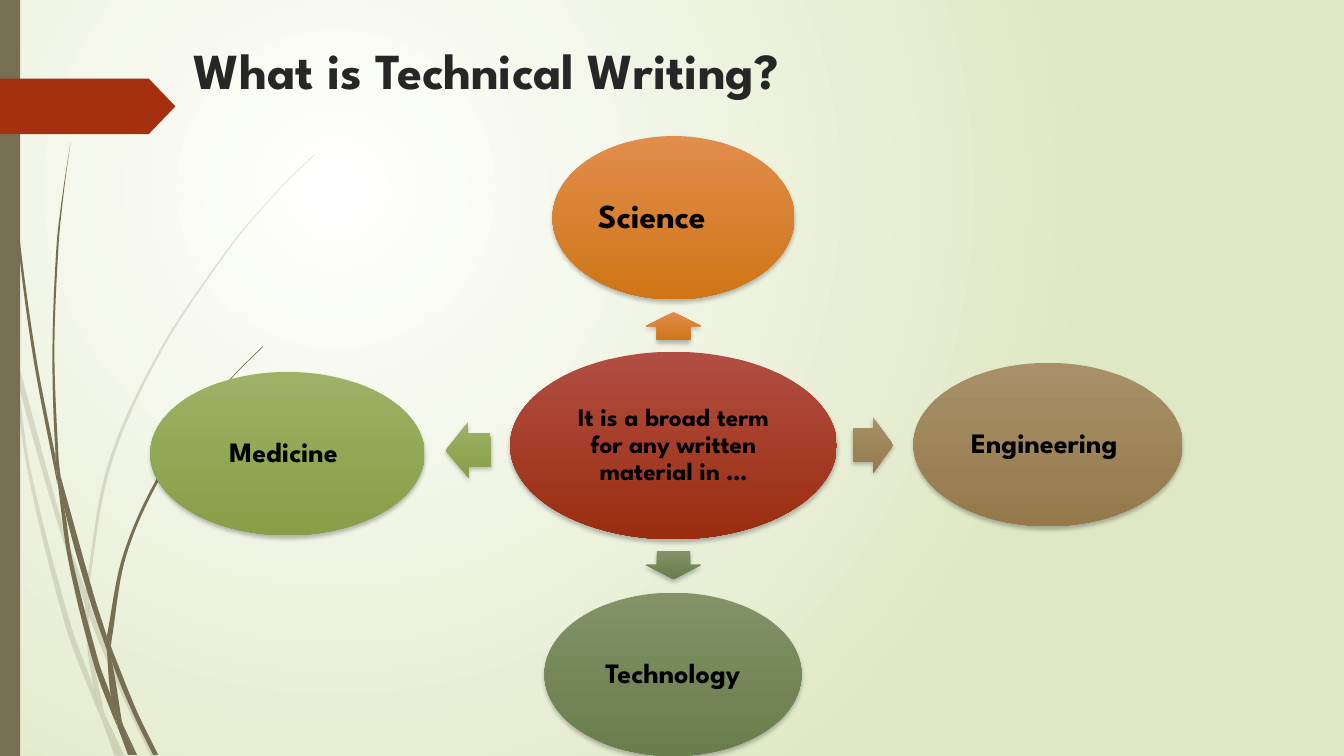
from math import dist
from lxml import etree
from pptx import Presentation
from pptx.dml.color import RGBColor
from pptx.enum.shapes import MSO_SHAPE
from pptx.enum.text import MSO_ANCHOR, MSO_AUTO_SIZE, PP_ALIGN
from pptx.oxml.ns import qn
from pptx.util import Cm, Pt

OVAL, ARROW = MSO_SHAPE.OVAL, MSO_SHAPE.RIGHT_ARROW
RECT, FLAG = MSO_SHAPE.RECTANGLE, MSO_SHAPE.PENTAGON
TOP, MIDDLE = MSO_ANCHOR.TOP, MSO_ANCHOR.MIDDLE
LEFT, CENTER = PP_ALIGN.LEFT, PP_ALIGN.CENTER
NO_FIT = MSO_AUTO_SIZE.NONE

FONT = "League Spartan"
WHITE = RGBColor(0xFF, 0xFF, 0xFF)
BLACK = RGBColor(0x00, 0x00, 0x00)
INK = RGBColor(0x26, 0x26, 0x26)
PALE = RGBColor(0xDF, 0xE8, 0xC4)
STEM = RGBColor(0x76, 0x6F, 0x54)
RUST = RGBColor(0xA5, 0x30, 0x10)
RED = (RGBColor(0xB1, 0x4E, 0x43), RGBColor(0x9A, 0x2D, 0x0F))
ORANGE = (RGBColor(0xE1, 0x8D, 0x4C), RGBColor(0xCF, 0x75, 0x16))
BROWN = (RGBColor(0xA8, 0x90, 0x68), RGBColor(0x94, 0x7A, 0x4B))
GREEN = (RGBColor(0x81, 0x93, 0x67), RGBColor(0x6A, 0x7D, 0x4D))
LIME = (RGBColor(0x9D, 0xB2, 0x65), RGBColor(0x88, 0x9E, 0x47))

# Grass pieces: both edges, in inches; the second edge runs back up
PALE_GRASS = [
    ([(0, 2.82), (0.09, 3.22), (0.11, 3.5)], [(0.1, 3.44), (0, 2.99)]),
    ([(0.14, 3.45), (0.17, 3.76), (0.58, 5.22), (0.84, 5.99)],
     [(0.85, 5.86), (0.62, 5.2), (0.14, 3.45)]),
    ([(0.88, 5.96), (0.88, 6.1), (1.23, 6.94), (1.5, 7.51)],
     [(1.55, 7.51), (1.27, 6.92), (0.92, 6.07), (0.88, 5.96)]),
    ([(1.05, 7.11), (1.19, 7.51)], [(1.24, 7.51), (1.05, 7.11)]),
    ([(0.11, 3.5), (0.28, 4.7), (0.65, 6.21), (0.92, 6.93), (1.01, 7.14)],
     [(0.99, 7.07), (0.93, 6.83), (0.7, 6.19), (0.31, 4.69), (0.17, 3.76), (0.11, 3.5)]),
    ([(0.84, 5.99), (0.87, 6.46), (0.93, 6.83), (0.96, 6.92), (1.05, 7.11)],
     [(1.03, 7.06), (0.91, 6.46), (0.88, 6.1), (0.88, 6.08), (0.84, 5.99)]),
    ([(3.12, 1.53), (2.89, 1.75), (2.68, 1.97), (2.28, 2.44), (1.58, 3.48),
      (1.07, 4.61), (0.85, 5.84), (0.85, 5.86)],
     [(0.88, 5.96), (0.88, 5.84), (1.1, 4.62), (1.6, 3.49), (2.29, 2.45),
      (2.68, 1.98), (2.9, 1.75), (3.12, 1.54)]),
    ([(1.01, 7.14), (1.14, 7.51)], [(1.19, 7.51), (1.01, 7.14)]),
    ([(0.85, 5.86), (0.84, 5.99)], [(0.88, 6.08), (0.88, 5.96)]),
    ([(0.93, 6.83), (0.99, 7.07), (1.01, 7.14), (1.19, 7.51)],
     [(1.05, 7.11), (0.96, 6.92), (0.93, 6.83)]),
]
DARK_GRASS = [
    ([(0.03, 0), (0.04, 0.48), (0.07, 1.1), (0.17, 2.33), (0.33, 3.55), (0.57, 4.81)],
     [(0.55, 4.53), (0.36, 3.55), (0.19, 2.32), (0.08, 1.09), (0.05, 0.48), (0.04, 0)]),
    ([(0.6, 4.72), (0.64, 5.05), (0.88, 5.92), (1.06, 6.45)],
     [(1.06, 6.31), (0.93, 5.9), (0.6, 4.72)]),
    ([(1.1, 6.41), (1.11, 6.56), (1.32, 7.08), (1.52, 7.49)],
     [(1.57, 7.49), (1.36, 7.06), (1.13, 6.49), (1.1, 6.41)]),
    ([(0.57, 4.77), (0.68, 5.57), (0.93, 6.59), (1.11, 7.08), (1.17, 7.22)],
     [(1.16, 7.17), (1.1, 6.91), (0.98, 6.57), (0.72, 5.56), (0.64, 5.05), (0.57, 4.77)]),
    ([(0.7, 1.41), (0.62, 1.93), (0.56, 2.45), (0.52, 3.49), (0.55, 4.49), (0.6, 4.72)],
     [(0.6, 4.72), (0.58, 4.53), (0.54, 3.49), (0.58, 2.45), (0.63, 1.93), (0.7, 1.41)]),
    ([(1.22, 7.19), (1.33, 7.49)], [(1.36, 7.49), (1.22, 7.19)]),
    ([(0.55, 4.49), (0.55, 4.53), (0.57, 4.77), (0.64, 5.05)],
     [(0.6, 4.72), (0.55, 4.49)]),
    ([(2.6, 3.44), (2.31, 3.73), (2.04, 4.05), (1.56, 4.74), (1.22, 5.51), (1.06, 6.31)],
     [(1.1, 6.41), (1.11, 6.33), (1.25, 5.52), (1.58, 4.76), (2.05, 4.06),
      (2.31, 3.74), (2.61, 3.44)]),
    ([(1.17, 7.22), (1.27, 7.49)], [(1.31, 7.49), (1.17, 7.22)]),
    ([(1.06, 6.45), (1.1, 6.91), (1.16, 7.06), (1.22, 7.19)],
     [(1.21, 7.16), (1.11, 6.56), (1.06, 6.45)]),
    ([(1.06, 6.31), (1.06, 6.45), (1.11, 6.56)], [(1.1, 6.41), (1.06, 6.31)]),
    ([(1.1, 6.91), (1.16, 7.17), (1.17, 7.22), (1.3, 7.49)],
     [(1.33, 7.49), (1.22, 7.19), (1.16, 7.06), (1.1, 6.91)]),
]

# Arms: text, size, ellipse box, arrow box, arrow turn, colours
ARMS = [
    ("Science\t", 24, (5.48, 1.35, 2.4, 1.62), (6.54, 2.96, 0.28, 0.55), 270, ORANGE),
    ("Engineering ", 20, (9.06, 3.6, 2.67, 1.62), (8.46, 4.14, 0.4, 0.55), 359.8, BROWN),
    ("Technology", 20, (5.4, 5.88, 2.55, 1.62), (6.54, 5.33, 0.28, 0.55), 90, GREEN),
    ("Medicine ", 20, (1.49, 3.69, 2.72, 1.62), (4.42, 4.19, 0.45, 0.55), 178.9, LIME),
]


def size(inch):
    return Cm(inch * 2.54)


def bend(edge):
    """Two handles and an end for each curve along the edge."""
    ends = [edge[0], *edge, edge[-1]]
    for a, b, c, d in zip(ends, ends[1:], ends[2:], ends[3:]):
        near, far = dist(b, c) / 3 / dist(a, c), dist(b, c) / 3 / dist(b, d)
        yield ([q + (r - p) * near for p, q, r in zip(a, b, c)],
               [r - (s - q) * far for q, r, s in zip(b, c, d)], c)


def paint(shape, color):
    shape.shadow.inherit = False
    shape.fill.solid()
    shape.fill.fore_color.rgb = color
    shape.line.fill.background()


def shade(fill, colors):
    fill.gradient()
    for stop, color in zip(fill.gradient_stops, colors):
        stop.color.rgb = color


def add_shape(slide, kind, box):
    return slide.shapes.add_shape(kind, *map(size, box))


def add_blade(slide, edges, alpha):
    dots = [(size(x), size(y)) for edge in edges for x, y in edge]
    pen = slide.shapes.build_freeform(*dots[0])
    pen.add_line_segments(dots[1:], close=True)
    blade = pen.convert_to_shape()
    paint(blade, STEM)
    props = blade._element.spPr
    tone = props.find(".//" + qn("a:srgbClr"))
    etree.SubElement(tone, qn("a:alpha"), val=str(alpha * 1000))
    # Bend the straight sides; the step between edges stays straight
    sides = list(props.iter(qn("a:lnTo")))
    first = len(edges[0]) - 1
    for part, edge in zip((sides[:first], sides[first + 1:]), edges):
        for side, curve in zip(part, bend(edge)):
            side.tag = qn("a:cubicBezTo")
            side.clear()
            for x, y in curve:
                etree.SubElement(side, qn("a:pt"), x=str(size(x) - blade.left),
                                 y=str(size(y) - blade.top))


def add_glossy(slide, kind, box, colors):
    shape = add_shape(slide, kind, box)
    shade(shape.fill, colors)
    shape.fill.gradient_angle = 270
    props = shape._element.spPr
    props.find(qn("a:gradFill")).set("rotWithShape", "0")
    shape.line.fill.background()
    # Soft shadow below
    shape.shadow.inherit = False
    drop = etree.SubElement(props.find(qn("a:effectLst")), qn("a:outerShdw"),
                            blurRad=str(Pt(3)), dist=str(Pt(2)),
                            dir="5400000", rotWithShape="0")
    tone = etree.SubElement(drop, qn("a:srgbClr"), val=str(BLACK))
    etree.SubElement(tone, qn("a:alpha"), val="25000")
    return shape


def write(frame, text, points, color, align, anchor):
    frame.word_wrap, frame.auto_size = True, NO_FIT
    frame.vertical_anchor = anchor
    para = frame.paragraphs[0]
    para.alignment = align
    run = para.add_run()
    run.text = text
    run.font.name, run.font.size, run.font.bold = FONT, Pt(points), True
    run.font.color.rgb = color


def add_bubble(slide, text, points, box, colors):
    frame = add_glossy(slide, OVAL, box, colors).text_frame
    frame.margin_left = frame.margin_right = size(0.03)
    frame.margin_top = frame.margin_bottom = size(0.03)
    write(frame, text, points, BLACK, CENTER, MIDDLE)
    frame.paragraphs[0].line_spacing = 0.9


def add_arrow(slide, box, turn, colors):
    arrow = add_glossy(slide, ARROW, box, colors)
    arrow.adjustments[0], arrow.adjustments[1] = 0.6, 0.5
    arrow.rotation = turn


def set_back(slide):
    shade(slide.background.fill, (WHITE, PALE))
    grad = slide.element.find(".//" + qn("p:bgPr")).find(qn("a:gradFill"))
    grad.remove(grad.find(qn("a:lin")))
    glow = etree.SubElement(grad, qn("a:path"), {"path": "circle"})
    etree.SubElement(glow, qn("a:fillToRect"), l="50000", t="50000", r="100000", b="100000")


def main():
    deck = Presentation()
    deck.slide_width, deck.slide_height = size(13.33), size(7.5)
    slide = deck.slides.add_slide(deck.slide_layouts[5])
    # Background, grass, side bar and flag
    set_back(slide)
    for grass, alpha in ((PALE_GRASS, 20), (DARK_GRASS, 100)):
        for edges in grass:
            add_blade(slide, edges, alpha)
    paint(add_shape(slide, RECT, (0, 0, 0.2, 7.5)), STEM)
    flag = add_shape(slide, FLAG, (0, 0.78, 1.74, 0.55))
    flag.adjustments[0] = 0.48
    paint(flag, RUST)
    # Title
    title = slide.shapes.title
    title.left, title.top, title.width, title.height = map(size, (1.82, 0.34, 9.75, 1.4))
    write(title.text_frame, "What is Technical Writing?", 36, INK, LEFT, TOP)
    # Hub and its four arms
    add_bubble(slide, "It is a broad term for any written material in …", 18,
               (5.06, 3.49, 3.24, 1.86), RED)
    for text, points, box, place, turn, colors in ARMS:
        add_arrow(slide, place, turn, colors)
        add_bubble(slide, text, points, box, colors)
    deck.save("out.pptx")


if __name__ == "__main__":
    main()
